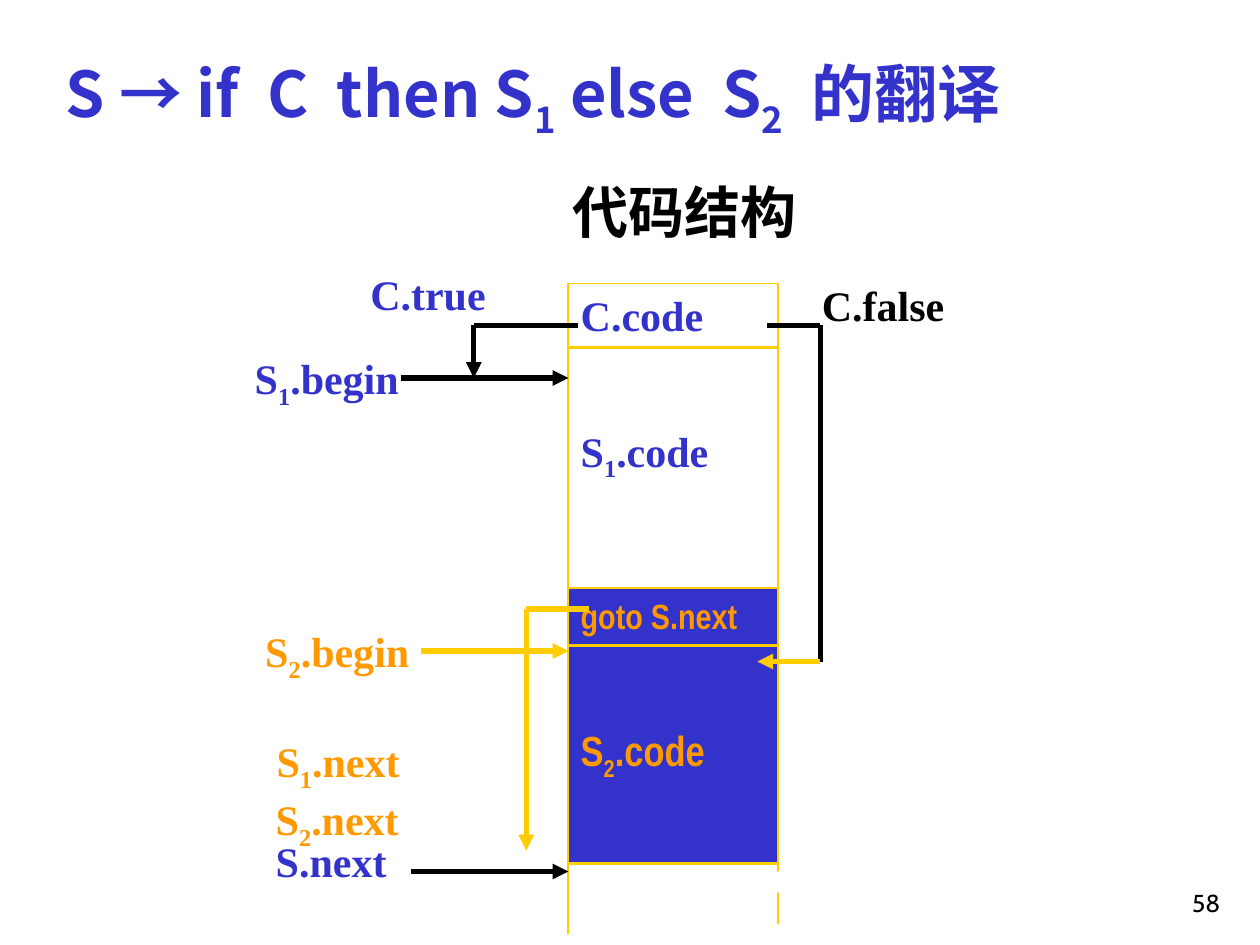
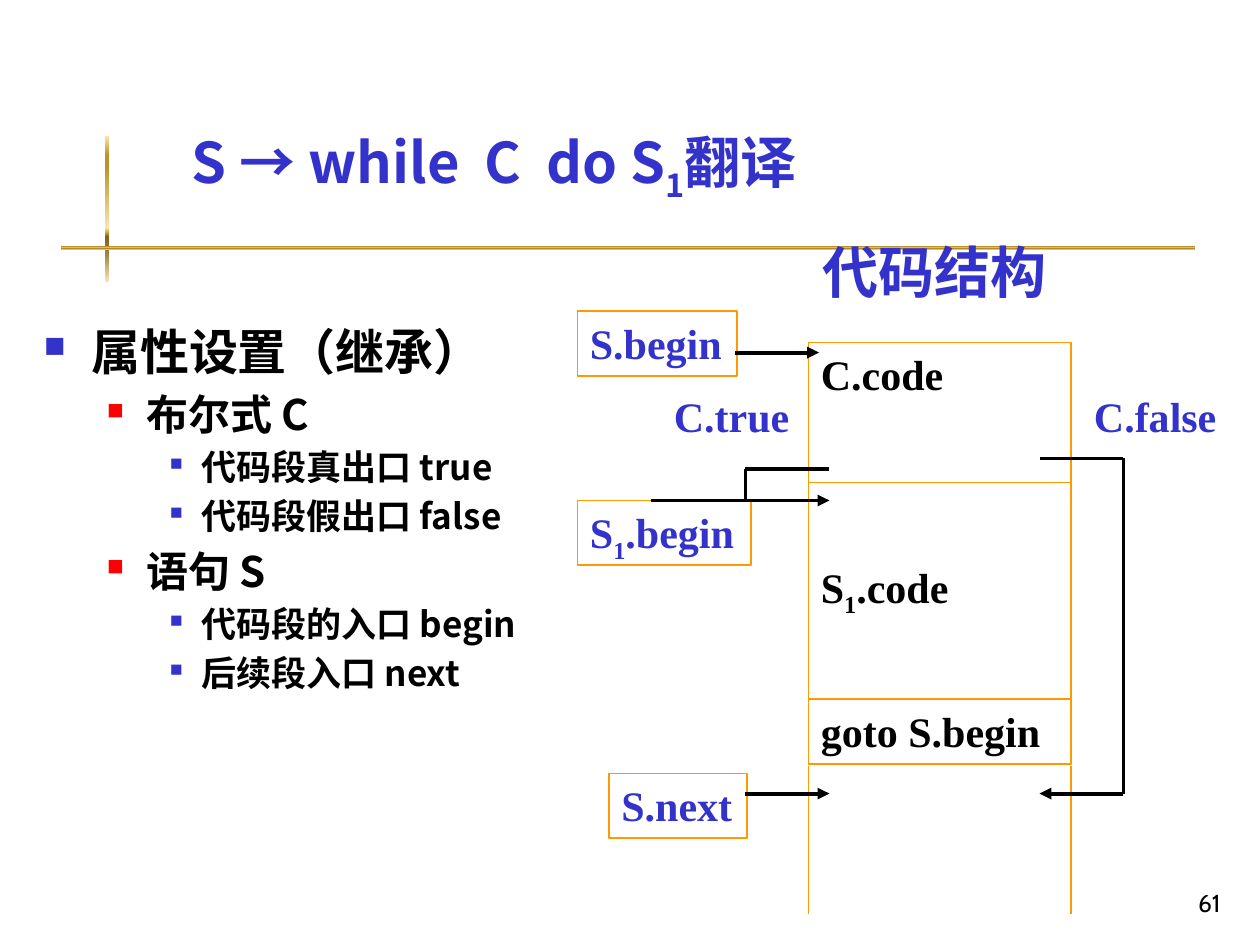
from dataclasses import dataclass
from itertools import pairwise
from typing import Optional

import pptx
import pptx.dml.color
import pptx.enum.shapes
import pptx.enum.text
import pptx.oxml
import pptx.oxml.ns
import pptx.util
from lxml import etree

Pt = pptx.util.Pt
RGBColor = pptx.dml.color.RGBColor
qn = pptx.oxml.ns.qn
PP_ALIGN = pptx.enum.text.PP_ALIGN
MSO_ANCHOR = pptx.enum.text.MSO_ANCHOR

# Shared colours and fonts
BLUE = RGBColor(0x33, 0x33, 0xCC)
ORANGE = RGBColor(0xFF, 0x99, 0x00)
YELLOW = RGBColor(0xFF, 0xCC, 0x00)
RED = RGBColor(0xFF, 0x00, 0x00)
BLACK = RGBColor(0x00, 0x00, 0x00)
WHITE = RGBColor(0xFF, 0xFF, 0xFF)
GOLD_STOPS = [(0, "FBE4AE"), (13, "BD922A"), (21, "BD922A"), (63, "FBE4AE"),
              (67, "BD922A"), (69, "835E17"), (82, "A28949"), (100, "FAE3B7")]
SERIF = "Times New Roman"
NARROW = "Arial Narrow"
SANS = "Noto Sans CJK JP"
LABEL_HEIGHT = 36
FRAMED_HEIGHT = 37
TRUE_WIDTH = 82
FALSE_WIDTH = 87
SECOND_LINE = 45  # top inset that puts the text on the second line of a box


@dataclass
class Box:
    """Text block; ~1~ marks a subscript and | a wide word gap."""
    text: str
    left: float
    top: float
    width: float
    height: float = LABEL_HEIGHT
    color: RGBColor = BLUE
    size: float = 24
    font: str = SERIF
    bold: bool = True
    line: Optional[RGBColor] = None
    fill: Optional[RGBColor] = None
    inset_top: float = 3.6
    wrap: bool = False
    anchor: MSO_ANCHOR = MSO_ANCHOR.TOP
    align: PP_ALIGN = PP_ALIGN.LEFT


@dataclass
class Route:
    """Straight segments through the points, with an optional arrow at the end."""
    points: list[tuple[float, float]]
    arrow: bool = True
    color: RGBColor = BLACK
    width: float = 3


@dataclass
class Level:
    size: float
    left: float
    hanging: float
    bullet_color: RGBColor
    bullet_percent: int


LEVELS = [Level(28, 27, 27, BLUE, 60), Level(24, 58.5, 22.5, RED, 55),
          Level(20, 90, 18, BLUE, 50)]


def style_span(span, font: str, size: float, color: RGBColor, bold: bool) -> None:
    span.font.name = font
    span.font.size = Pt(size)
    span.font.bold = bold
    span.font.color.rgb = color
    east_asian = etree.SubElement(span.font._element, qn("a:ea"))
    east_asian.set("typeface", SANS)


def write_marked(para, box: Box) -> None:
    def add_span(text: str):
        span = para.add_run()
        span.text = text
        style_span(span, box.font, box.size, box.color, box.bold)
        return span.font._element

    for index, part in enumerate(box.text.split("~")):
        for position, words in enumerate(part.split("|")):
            if position:
                add_span(" ").set("spc", str(round(box.size * 22)))
            if words:
                properties = add_span(words)
                if index % 2:
                    properties.set("baseline", "-25000")


def add_box(page, box: Box) -> None:
    place = [Pt(value) for value in (box.left, box.top, box.width, box.height)]
    if box.line is None:
        shape = page.shapes.add_textbox(*place)
    else:
        shape = page.shapes.add_shape(pptx.enum.shapes.MSO_SHAPE.RECTANGLE, *place)
        shape.shadow.inherit = False
        shape.line.color.rgb = box.line
        shape.line.width = Pt(1)
        if box.fill is None:
            shape.fill.background()
        else:
            shape.fill.solid()
            shape.fill.fore_color.rgb = box.fill
    frame = shape.text_frame
    frame.word_wrap = box.wrap
    frame.vertical_anchor = box.anchor
    frame.margin_top = Pt(box.inset_top)
    frame.paragraphs[0].alignment = box.align
    write_marked(frame.paragraphs[0], box)


def add_route(page, route: Route) -> None:
    for start, end in pairwise(route.points):
        segment = page.shapes.add_connector(
            pptx.enum.shapes.MSO_CONNECTOR.STRAIGHT, *map(Pt, start + end))
        segment.line.color.rgb = route.color
        segment.line.width = Pt(route.width)
        if route.arrow and end == route.points[-1]:
            head = etree.SubElement(segment.line._get_or_add_ln(), qn("a:tailEnd"))
            head.set("type", "triangle")
        etree.SubElement(segment._element.spPr, qn("a:effectLst"))


def add_gold_band(page, left: float, top: float, width: float, height: float) -> None:
    band = page.shapes.add_shape(pptx.enum.shapes.MSO_SHAPE.RECTANGLE,
                                 Pt(left), Pt(top), Pt(width), Pt(height))
    band.shadow.inherit = False
    band.line.fill.background()
    band.fill.gradient()
    band.fill.gradient_angle = 270
    stops = band._element.spPr.find(qn("a:gradFill")).find(qn("a:gsLst"))
    for stop in list(stops):
        stops.remove(stop)
    for percent, color in GOLD_STOPS:
        stop = etree.SubElement(stops, qn("a:gs"), pos=str(percent * 1000))
        etree.SubElement(stop, qn("a:srgbClr"), val=color)


def add_outline(page, items: list[tuple[int, str]]) -> None:
    frame = page.shapes.add_textbox(Pt(18), Pt(180), Pt(300), Pt(270)).text_frame
    frame.word_wrap = True
    for index, (depth, text) in enumerate(items):
        level = LEVELS[depth]
        para = frame.add_paragraph() if index else frame.paragraphs[0]
        para.text = text
        para.level = depth
        para.line_spacing = Pt(level.size * 1.2)
        if index:
            para.space_before = Pt(level.size * 0.2)
        properties = para._element.get_or_add_pPr()
        properties.set("marL", str(Pt(level.left)))
        properties.set("indent", str(-Pt(level.hanging)))
        color = etree.SubElement(properties, qn("a:buClr"))
        etree.SubElement(color, qn("a:srgbClr"), val=str(level.bullet_color))
        etree.SubElement(properties, qn("a:buSzPct"), val=str(level.bullet_percent * 1000))
        etree.SubElement(properties, qn("a:buChar"), char="■")
        style_span(para.runs[0], SANS, level.size, BLACK, True)


def add_title(page, text: str, left: float, top: float, width: float,
              height: float, size: float) -> None:
    add_box(page, Box(text, left, top, width, height, size=size, font=SANS,
                      wrap=True, anchor=MSO_ANCHOR.BOTTOM))


def add_heading(page, left: float, top: float, color: RGBColor) -> None:
    add_box(page, Box("代码结构", left, top, 144, 45, color, size=32))


def add_page_number(page, number: int) -> None:
    add_box(page, Box(str(number), 554.5, 492, 150, color=BLACK, size=14, font="Cabin",
                      bold=False, wrap=True, anchor=MSO_ANCHOR.BOTTOM,
                      align=PP_ALIGN.RIGHT))


def add_diagram(page, boxes: list[Box], routes: list[Route]) -> None:
    for box in boxes:
        add_box(page, box)
    for route in routes:
        add_route(page, route)


def build_if_else(page) -> None:
    add_title(page, "S → if|C|then S~1~ else|S~2~|的翻译", 30.5, 18, 676, 66, 36)
    add_heading(page, 320, 98, BLACK)
    left, right = 324.75, 444.75

    def code(text: str, top: float, height: float, **style) -> Box:
        return Box(text, left, top, right - left, height, line=YELLOW, wrap=True, **style)

    # Code column, then the jump labels
    boxes = [
        code("C.code", 162, FRAMED_HEIGHT),
        code("S~1~.code", 198, 296, inset_top=SECOND_LINE),
        code("goto S.next", 336, 32.5, color=ORANGE, size=20, font=NARROW, fill=BLUE),
        code("S~2~.code", 369, 124, color=ORANGE, font=NARROW, fill=BLUE,
             inset_top=SECOND_LINE),
        Box("C.true", 204.5, 150, TRUE_WIDTH),
        Box("C.false", 462.5, 156, FALSE_WIDTH, color=BLACK),
        Box("S~1~.begin", 138.5, 198, 100),
        Box("S~2~.begin", 144.5, 354, 100, color=ORANGE),
        Box("S~1~.next", 151, 417, 88, color=ORANGE),
        Box("S~2~.next", 150.5, 450, 88, color=ORANGE),
        Box("S.next", 150.5, 474, 80),
    ]
    routes = [
        Route([(right, 474), (right, 528)], False, YELLOW, 1),
        Route([(left, 480), (left, 534)], False, YELLOW, 1),
        Route([(330.5, 186), (270.75, 186), (270.75, 216)]),
        Route([(229, 216), (left, 216)]),
        Route([(235, 498), (left, 498)]),
        Route([(438.5, 186), (468.75, 186), (468.75, 378)], False),
        Route([(468.75, 378), (432.75, 378)], color=YELLOW),
        Route([(336.75, 348), (300.75, 348), (300.75, 486)], color=YELLOW),
        Route([(240.5, 372), (left, 372)], color=YELLOW),
        Route([(468.75, 504), (432.75, 504)], color=WHITE, width=4.5),
    ]
    add_diagram(page, boxes, routes)
    add_page_number(page, 58)


def build_while(page) -> None:
    add_gold_band(page, 60, 78, 2.25, 83)
    add_gold_band(page, 34.75, 140.5, 648, 2.25)
    add_title(page, "S → while|C|do S~1~翻译", 102.5, 72, 540, 48, 32)
    add_outline(page, [
        (0, "属性设置（继承）"),
        (1, "布尔式 C"),
        (2, "代码段真出口 true"),
        (2, "代码段假出口 false"),
        (1, "语句 S"),
        (2, "代码段的入口 begin"),
        (2, "后续段入口 next"),
    ])
    add_heading(page, 463, 132, BLUE)
    left, right = 462, 612

    def code(text: str, top: float, height: float, inset_top: float = 3.6) -> Box:
        return Box(text, left, top, right - left, height, BLACK, line=ORANGE,
                   inset_top=inset_top, wrap=True)

    def entry(text: str, entry_left: float, top: float, width: float) -> Box:
        return Box(text, entry_left, top, width, FRAMED_HEIGHT, line=ORANGE)

    def route(*points: tuple[float, float], arrow: bool = True) -> Route:
        return Route(list(points), arrow, width=2.25)

    # Code column, then the entry points and exits
    boxes = [
        code("C.code", 195.75, 80),
        code("S~1~.code", 275.75, 123.5, SECOND_LINE),
        code("goto S.begin", 399.5, FRAMED_HEIGHT),
        entry("S.begin", 330, 177.75, 91),
        entry("S~1~.begin", 330, 286, 99),
        entry("S.next", 348, 442, 79),
        Box("C.true", 378, 219.5, TRUE_WIDTH),
        Box("C.false", 618, 219.5, FALSE_WIDTH),
    ]
    routes = [Route([(side, 438), (side, 522)], False, ORANGE, 1)
              for side in (left, right)]
    routes += [
        route((420, 201.5), (468, 201.5)),
        route((474, 268), (426, 268), (426, 286), arrow=False),
        route((372, 286), (474, 286)),
        route((594, 262), (642, 262), (642, 453.5), (594, 453.5)),
        route((426, 453.5), (474, 453.5)),
    ]
    add_diagram(page, boxes, routes)
    add_page_number(page, 61)


def main() -> None:
    deck = pptx.Presentation()
    deck.slide_width, deck.slide_height = Pt(720), Pt(540)
    for build in (build_if_else, build_while):
        build(deck.slides.add_slide(deck.slide_layouts[6]))
    deck.save("out.pptx")


if __name__ == "__main__":
    main()
